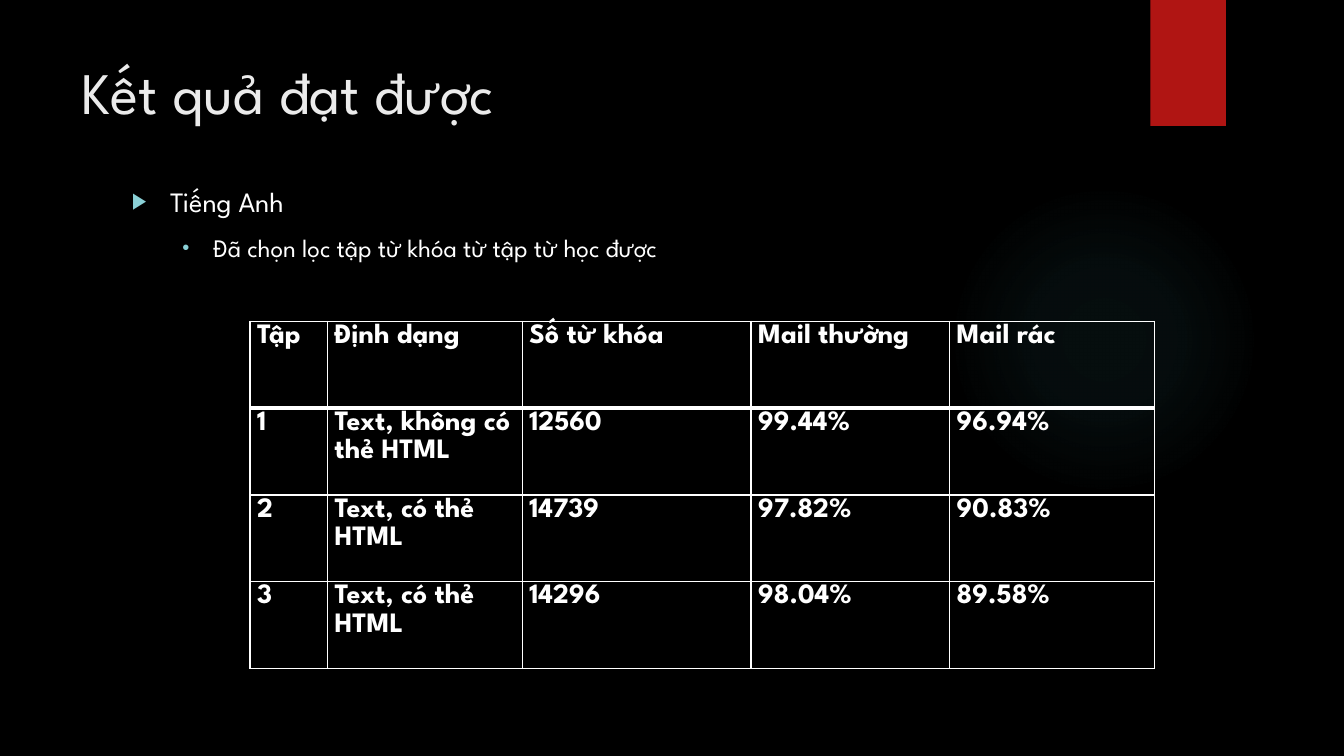
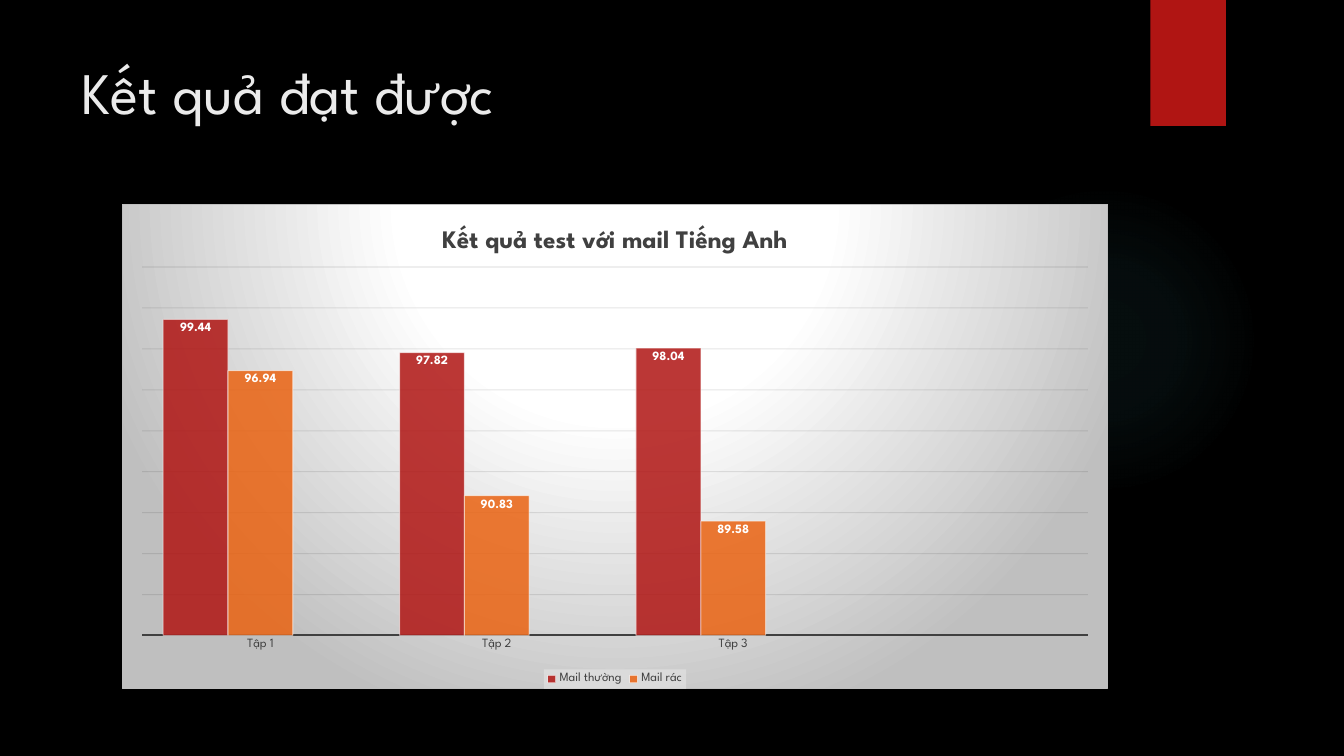
from dataclasses import dataclass

from pptx import Presentation
from pptx.chart.data import CategoryChartData
from pptx.dml.color import RGBColor
from pptx.enum.chart import XL_CHART_TYPE as ChartType
from pptx.enum.chart import XL_LABEL_POSITION as LabelPos
from pptx.enum.chart import XL_LEGEND_POSITION as LegendPos
from pptx.enum.chart import XL_TICK_MARK as TickMark
from pptx.enum.shapes import MSO_SHAPE as Preset
from pptx.oxml import parse_xml
from pptx.oxml.ns import nsdecls, qn
from pptx.util import Inches, Pt


@dataclass(frozen=True)
class Theme:
    font: str = "League Spartan"
    page: str = "000000"
    text: str = "FFFFFF"
    heading: str = "EBEBEB"
    glow: str = "50B9C1"
    bullet: str = "8AD0D6"
    ink: str = "404040"
    grid: str = "0D0D0D"
    edge: str = "BFBFBF"
    legend: str = "F2F2F2"
    bars: tuple = ("B01513", "EA6312", "E6B729")
    title_size: int = 42
    level_sizes: tuple = (20, 18)
    table_size: int = 20
    chart_title_size: int = 18
    chart_size: int = 10
    small_size: int = 9


def rgb(color):
    return RGBColor.from_string(color)


def solid(color, alpha=100):
    return (f'<a:solidFill><a:srgbClr val="{color}"><a:alpha val="{alpha * 1000}"/>'
            '</a:srgbClr></a:solidFill>')


def radial(stops, left, top, right, bottom):
    marks = "".join(
        f'<a:gs pos="{pos * 1000}"><a:srgbClr val="{color}"><a:alpha val="{alpha * 1000}"/>'
        '</a:srgbClr></a:gs>' for pos, color, alpha in stops)
    return (f'<a:gradFill {nsdecls("a")} rotWithShape="1"><a:gsLst>{marks}</a:gsLst>'
            f'<a:path path="circle"><a:fillToRect l="{left * 1000}" t="{top * 1000}" '
            f'r="{right * 1000}" b="{bottom * 1000}"/></a:path></a:gradFill>')


def chart_props(content):
    return parse_xml(f'<c:spPr {nsdecls("c", "a")}>{content}</c:spPr>')


def set_alpha(color_element, percent):
    color_element.append(parse_xml(f'<a:alpha {nsdecls("a")} val="{percent * 1000}"/>'))


def place(element, index, **fractions):
    """Give a chart part a manual layout in fractions of the chart."""
    for old in element.findall(qn("c:layout")):
        element.remove(old)
    target = '<c:layoutTarget val="inner"/>' if "w" in fractions else ""
    modes = "".join(f'<c:{axis}Mode val="edge"/>' for axis in "xy")
    values = "".join(f'<c:{key} val="{value}"/>' for key, value in fractions.items())
    element.insert(index, parse_xml(
        f'<c:layout {nsdecls("c")}><c:manualLayout>{target}{modes}{values}'
        '</c:manualLayout></c:layout>'))


class Deck:
    """Holds the style and the current slide."""

    def __init__(self, theme):
        self.theme = theme
        self.prs = Presentation()
        self.prs.slide_width, self.prs.slide_height = Inches(13.33), Inches(7.5)
        self.slide = None

    def style(self, font, size, color, bold=False):
        font.name, font.size, font.bold = self.theme.font, Pt(size), bold
        font.color.rgb = rgb(color)

    def run(self, paragraph, text, size, color, bold=False):
        run = paragraph.add_run()
        run.text = text
        self.style(run.font, size, color, bold)

    def shape(self, preset, *box):
        shape = self.slide.shapes.add_shape(preset, *map(Inches, box))
        shape.shadow.inherit = False
        shape.line.fill.background()
        return shape

    def frame(self, *box):
        frame = self.slide.shapes.add_textbox(*map(Inches, box)).text_frame
        frame.word_wrap = True
        return frame

    def new_slide(self, title):
        theme = self.theme
        self.slide = self.prs.slides.add_slide(self.prs.slide_layouts[6])
        background = self.slide.background.fill
        background.solid()
        background.fore_color.rgb = rgb(theme.page)
        self.glow()
        self.ribbon()
        heading = self.frame(0.71, 0.5, 10.29, 1.53)
        self.run(heading.paragraphs[0], title, theme.title_size, theme.heading)

    def glow(self):
        glow = self.shape(Preset.OVAL, 9.41, 1.83, 3.08, 3.08)
        glow.fill.background()
        props = glow._element.spPr
        stops = [(pos, self.theme.glow, alpha) for pos, alpha in ((0, 7), (36, 6), (69, 0))]
        props.replace(props.find(qn("a:noFill")), parse_xml(radial(stops, 50, 50, 50, 50)))

    def ribbon(self):
        ribbon = self.shape(Preset.RECTANGLE, 11.41, 0, 0.75, 1.25)
        ribbon.fill.solid()
        ribbon.fill.fore_color.rgb = rgb(self.theme.bars[0])
        ribbon._element.spPr.find(qn("a:effectLst")).append(parse_xml(
            f'<a:outerShdw {nsdecls("a")} blurRad="{Pt(3)}" dist="{Pt(2)}" dir="5400000" '
            'rotWithShape="0"><a:srgbClr val="000000"><a:alpha val="45000"/></a:srgbClr>'
            '</a:outerShdw>'))

    def bullets(self, points, *box):
        theme, frame = self.theme, self.frame(*box)
        marks = (("▶", 0.38, 0.38), ("•", 0.81, 0.31))
        for index, (level, text) in enumerate(points):
            paragraph = frame.add_paragraph() if index else frame.paragraphs[0]
            paragraph.level, paragraph.space_before = level, Pt(10)
            mark, margin, hanging = marks[level]
            props = paragraph._p.get_or_add_pPr()
            props.set("marL", str(Inches(margin)))
            props.set("indent", str(-Inches(hanging)))
            for bullet in (f'buClr {nsdecls("a")}><a:srgbClr val="{theme.bullet}"/></a:buClr',
                           f'buSzPct {nsdecls("a")} val="80000"/',
                           f'buFont {nsdecls("a")} typeface="Arial"/',
                           f'buChar {nsdecls("a")} char="{mark}"/'):
                props.append(parse_xml(f"<a:{bullet}>"))
            self.run(paragraph, text, theme.level_sizes[level], theme.text)

    def borders(self, cell, top, bottom):
        props = cell._tc.get_or_add_tcPr()
        for index, (side, width) in enumerate(zip("LRTB", (1, 1, top, bottom))):
            props.insert(index, parse_xml(
                f'<a:ln{side} {nsdecls("a")} w="{Pt(width)}">{solid(self.theme.text)}'
                f'</a:ln{side}>'))

    def table(self, rows, widths, row_height, left, top):
        theme = self.theme
        table = self.slide.shapes.add_table(
            len(rows), len(widths), Inches(left), Inches(top),
            Inches(sum(widths)), Inches(row_height * len(rows))).table
        table.first_row = table.horz_banding = False
        for column, width in zip(table.columns, widths):
            column.width = Inches(width)
        for r, row in enumerate(rows):
            table.rows[r].height = Inches(row_height)
            for c, text in enumerate(row):
                cell = table.cell(r, c)
                cell.fill.background()
                cell.margin_left = cell.margin_right = Inches(0.07)
                cell.margin_top = cell.margin_bottom = 0
                self.borders(cell, 3 if r == 1 else 1, 3 if r == 0 else 1)
                paragraph = cell.text_frame.paragraphs[0]
                paragraph.line_spacing = 1.1
                self.run(paragraph, text, theme.table_size, theme.text, True)

    def column_chart(self, title, categories, results, *box):
        theme, data = self.theme, CategoryChartData(number_format="0.00")
        data.categories = categories
        for name, values in results:
            data.add_series(name, values)
        chart = self.slide.shapes.add_chart(
            ChartType.COLUMN_CLUSTERED, *map(Inches, box), data).chart
        self.style(chart.font, theme.chart_size, theme.text)
        self.chart_title(chart, title)
        self.chart_axes(chart)
        self.chart_bars(chart.plots[0])
        self.chart_legend(chart, hidden=2)
        stops = ((0, theme.text, 100), (39, theme.text, 100), (100, theme.edge, 100))
        chart._chartSpace.find(qn("c:txPr")).addprevious(chart_props(
            radial(stops, 50, -80, 50, 180)
            + f'<a:ln w="{Pt(0.75)}">{solid(theme.edge)}</a:ln>'))
        place(chart._chartSpace.chart.plotArea, 0, x=0.02, y=0.13, w=0.96, h=0.76)

    def chart_title(self, chart, title):
        chart.has_title = True
        heading = chart.chart_title.text_frame.paragraphs[0]
        self.run(heading, title, self.theme.chart_title_size, self.theme.ink, True)
        chart.chart_title.include_in_layout = False
        place(chart.chart_title._element, 1, x=0.32, y=0.04)

    def chart_axes(self, chart):
        theme, names, scale = self.theme, chart.category_axis, chart.value_axis
        names.major_tick_mark = names.minor_tick_mark = TickMark.NONE
        self.style(names.tick_labels.font, theme.small_size, theme.ink)
        names.format.line.width = Pt(1.5)
        names.format.line.color.rgb = rgb(theme.ink)
        scale.minimum_scale, scale.maximum_scale, scale.major_unit = 84, 102, 2
        scale.has_major_gridlines = True
        grid = scale.major_gridlines.format.line
        grid.width = Pt(0.75)
        grid.color.rgb = rgb(theme.grid)
        set_alpha(scale._element.xpath("c:majorGridlines//a:srgbClr")[0], 10)
        scale.visible = False

    def chart_bars(self, plot):
        theme = self.theme
        plot.gap_width, plot.overlap, plot.vary_by_categories = 65, 0, False
        for series, color in zip(plot.series, theme.bars):
            series.format.fill.solid()
            series.format.fill.fore_color.rgb = rgb(color)
            series.format.line.width = Pt(0.75)
            series.format.line.color.rgb = rgb(theme.text)
            for part, alpha in zip(series._element.xpath("c:spPr//a:srgbClr"), (85, 50)):
                set_alpha(part, alpha)
            labels = series.data_labels
            labels.show_value, labels.position = True, LabelPos.INSIDE_END
            self.style(labels.font, theme.small_size, theme.text, True)

    def chart_legend(self, chart, hidden):
        chart.has_legend = True
        legend = chart.legend
        legend.position, legend.include_in_layout = LegendPos.BOTTOM, False
        self.style(legend.font, self.theme.small_size, self.theme.ink)
        element = legend._element
        element.find(qn("c:legendPos")).addnext(parse_xml(
            f'<c:legendEntry {nsdecls("c")}><c:idx val="{hidden}"/><c:delete val="1"/>'
            '</c:legendEntry>'))
        element.find(qn("c:txPr")).addprevious(chart_props(solid(self.theme.legend, 39)))


RESULTS_TITLE = "Kết quả đạt được"
NORMAL, SPAM = "Mail thường", "Mail rác"
TESTS = (
    ("1", "Text, không có thẻ HTML", "12560", 99.44, 96.94),
    ("2", "Text, có thẻ HTML", "14739", 97.82, 90.83),
    ("3", "Text, có thẻ HTML", "14296", 98.04, 89.58),
)

deck = Deck(Theme())

deck.new_slide(RESULTS_TITLE)
deck.bullets([(0, "Tiếng Anh"), (1, "Đã chọn lọc tập từ khóa từ tập từ học được")],
             1.21, 1.78, 9.78, 5.05)
header = ("Tập", "Định dạng", "Số từ khóa", NORMAL, SPAM)
body = [(*test[:3], *(f"{rate:.2f}%" for rate in test[3:])) for test in TESTS]
deck.table([header, *body], (0.77, 1.93, 2.27, 1.97, 2.03), 0.86, 2.48, 3.19)

deck.new_slide(RESULTS_TITLE)
deck.column_chart(
    "Kết quả test với mail Tiếng Anh",
    [f"Tập {test[0]}" for test in TESTS] + [""],
    [(NORMAL, [test[3] for test in TESTS] + [None]),
     (SPAM, [test[4] for test in TESTS] + [None]),
     ("Series 3", [None] * 4)],
    1.21, 2.02, 9.78, 4.82)

deck.prs.save("out.pptx")
